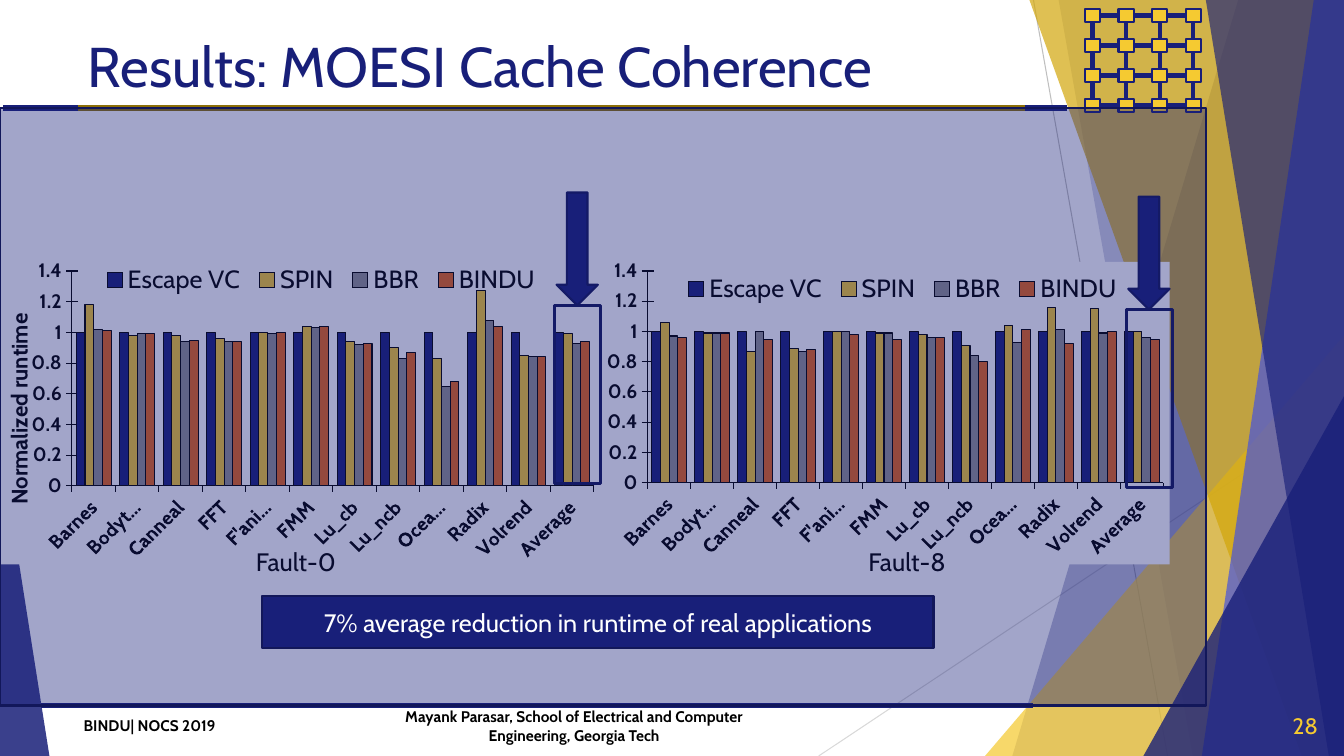
import pptx
import pptx.chart.data
import pptx.dml.color
import pptx.enum.chart
import pptx.enum.shapes
import pptx.enum.text
import pptx.oxml
import pptx.oxml.ns
import pptx.util
from dataclasses import dataclass

W, H = 13.33, 7.5
RULE_Y, FOOT_Y = 1.07, 7.0
SHAPE = pptx.enum.shapes.MSO_SHAPE
ALIGN = pptx.enum.text.PP_ALIGN
MIDDLE = pptx.enum.text.MSO_ANCHOR.MIDDLE
TICK = pptx.enum.chart.XL_TICK_MARK
NS = pptx.oxml.ns.nsdecls("c", "a")


@dataclass(frozen=True)
class Theme:
    font: str = "Cabin"
    navy: str = "181F79"
    edge: str = "12175A"
    gold: str = "F5CA31"
    dark_gold: str = "D2A60A"
    rule_gold: str = "8C6F07"
    blue: str = "4853DB"
    black: str = "000000"
    white: str = "FFFFFF"
    hairlines: tuple = ("BFBFBF", "D9D9D9")
    series: tuple = ("181F79", "F5CA31", "919191", "E76618")
    title: int = 40
    body: int = 18
    axis_title: int = 16
    number: int = 16
    tick: int = 14
    foot: int = 11
    chart: int = 10


T = Theme()
BENCHMARKS = ["Barnes", "Bodytrack", "Canneal", "FFT", "F'animate", "FMM", "Lu_cb",
              "Lu_ncb", "Ocean_cp", "Radix", "Volrend", "Average"]
SCHEMES = ["Escape VC", "SPIN", "BBR", "BINDU"]
FAULT_0 = [[1] * 12,
           [1.18, .98, .98, .96, 1, 1.04, .94, .9, .83, 1.27, .85, .99],
           [1.02, .99, .94, .94, .99, 1.03, .92, .83, .65, 1.08, .84, .93],
           [1.01, .99, .95, .94, 1, 1.04, .93, .87, .68, 1.04, .84, .94]]
FAULT_8 = [[1] * 12,
           [1.06, .99, .87, .89, 1, .99, .98, .91, 1.04, 1.16, 1.15, 1],
           [.97, .99, 1, .87, 1, .99, .96, .84, .93, 1.01, .99, .96],
           [.96, .99, .95, .88, .98, .95, .96, .8, 1.01, .92, 1, .95]]


def rgb(color):
    return pptx.dml.color.RGBColor.from_string(color)


def inches(*values):
    return [pptx.util.Inches(v) for v in values]


def style_font(font, size, color=T.black, bold=False):
    font.name, font.size, font.bold = T.font, pptx.util.Pt(size), bold
    font.color.rgb = rgb(color)


def paint(sp, fill=None, alpha=100, line=None, width=1.5):
    sp.shadow.inherit = False
    if fill:
        sp.fill.solid()
        sp.fill.fore_color.rgb = rgb(fill)
        if alpha < 100:
            clr = sp._element.spPr.find(".//" + pptx.oxml.ns.qn("a:srgbClr"))
            clr.append(pptx.oxml.parse_xml(f'<a:alpha {NS} val="{alpha * 1000}"/>'))
    else:
        sp.fill.background()
    if line:
        sp.line.color.rgb, sp.line.width = rgb(line), pptx.util.Pt(width)
    else:
        sp.line.fill.background()
    return sp


def add_box(s, kind, box, **look):
    return paint(s.shapes.add_shape(kind, *inches(*box)), **look)


def add_line(s, start, end, color, width):
    cx = s.shapes.add_connector(pptx.enum.shapes.MSO_CONNECTOR.STRAIGHT, *inches(*start, *end))
    cx.line.color.rgb, cx.line.width = rgb(color), pptx.util.Pt(width)
    cx._element.spPr.append(pptx.oxml.parse_xml(f"<a:effectLst {NS}/>"))
    return cx


def write(sp, text, size=T.body, color=T.black, bold=False, align=ALIGN.LEFT,
          anchor=MIDDLE, wrap=True):
    tf = sp.text_frame
    tf.word_wrap, tf.vertical_anchor = wrap, anchor
    p = tf.paragraphs[0]
    p.alignment = align
    r = p.add_run()
    r.text = text
    style_font(r.font, size, color, bold)


def add_text(s, box, text, **fmt):
    write(s.shapes.add_textbox(*inches(*box)), text, **fmt)


def backdrop(s):
    """Translucent facets along the slide's right side and the lower left corner."""
    def band(top, bottom, color, alpha):
        fb = s.shapes.build_freeform(*inches(top, 0))
        fb.add_line_segments([inches(*point) for point in [(W, 0), (W, H), (bottom, H)]])
        paint(fb.convert_to_shape(), fill=color, alpha=alpha)

    def corner(x, y, width, apex, color, alpha):
        sp = add_box(s, SHAPE.ISOSCELES_TRIANGLE, (x, y, width, H - y), fill=color, alpha=alpha)
        sp.adjustments[0] = apex

    add_line(s, (10.25, 0), (11.58, H), T.hairlines[0], .75)
    add_line(s, (W, 4.03), (8.12, H), T.hairlines[1], .75)
    band(12.28, 10.04, T.navy, 30)
    band(10.5, 11.83, T.navy, 20)
    corner(9.77, 3.33, 3.56, 1, T.gold, 72)
    band(10.21, 12.91, T.dark_gold, 70)
    band(13.03, 11.92, T.blue, 70)
    band(11.96, 13.18, T.navy, 65)
    corner(11.34, 3.93, 1.99, 1, T.navy, 80)
    corner(0, 4.39, .49, 0, T.navy, 85)


def rules(s):
    add_line(s, (.41, FOOT_Y), (10.25, FOOT_Y), T.navy, 3.5)
    for x1, x2, color in [(.77, 10.17, T.rule_gold), (.03, .77, T.navy), (10.17, 10.58, T.navy)]:
        add_line(s, (x1, RULE_Y), (x2, RULE_Y), color, 4.5)


def mesh(s, box, n=4, node=(.15, .13)):
    """An n by n grid of nodes with links behind them."""
    x, y, w, h = box
    dx, dy = (w - node[0]) / (n - 1), (h - node[1]) / (n - 1)
    back = len(s.shapes._spTree)
    nodes = [[add_box(s, SHAPE.RECTANGLE, (x + c * dx, y + r * dy, *node),
                      fill=T.gold, line=T.navy) for c in range(n)] for r in range(n)]
    links = [(row[0], 3, row[-1], 1) for row in nodes]
    links += [(col[0], 2, col[-1], 0) for col in zip(*nodes)]
    for first, out, last, into in links:
        cx = add_line(s, (x, y), (x + w, y + h), T.navy, 3)
        cx.begin_connect(first, out)
        cx.end_connect(last, into)
        s.shapes._spTree.insert(back, cx._element)


def layout_xml(x, y, w, h, inner=False):
    target = '<c:layoutTarget val="inner"/>' if inner else ""
    modes = '<c:xMode val="edge"/><c:yMode val="edge"/>'
    sizes = "".join(f'<c:{k} val="{v}"/>' for k, v in zip("xywh", (x, y, w, h)))
    return pptx.oxml.parse_xml(
        f"<c:layout {NS}><c:manualLayout>{target}{modes}{sizes}</c:manualLayout></c:layout>")


def runtime_chart(s, box, values, plot_area, legend_area):
    data = pptx.chart.data.CategoryChartData()
    data.categories = BENCHMARKS
    for name, vals in zip(SCHEMES, values):
        data.add_series(name, vals)
    kind = pptx.enum.chart.XL_CHART_TYPE.COLUMN_CLUSTERED
    chart = s.shapes.add_chart(kind, *inches(*box), data).chart
    style_font(chart.font, T.chart)
    chart.has_title = False
    chart._chartSpace.chart.addnext(pptx.oxml.parse_xml(
        f'<c:spPr {NS}><a:solidFill><a:srgbClr val="{T.white}"/></a:solidFill>'
        '<a:ln><a:noFill/></a:ln></c:spPr>'))
    area = chart._chartSpace.chart.plotArea
    for old in area.findall(pptx.oxml.ns.qn("c:layout")):
        area.remove(old)
    area.insert(0, layout_xml(*plot_area, inner=True))

    plot = chart.plots[0]
    plot.gap_width, plot.overlap, plot.vary_by_categories = 100, 0, False
    for series, color in zip(plot.series, T.series):
        series.format.fill.solid()
        series.format.fill.fore_color.rgb = rgb(color)
        series.invert_if_negative = False
    cat, val = chart.category_axis, chart.value_axis
    for axis, mark in [(cat, TICK.OUTSIDE), (val, TICK.CROSS)]:
        axis.major_tick_mark, axis.minor_tick_mark = mark, TICK.NONE
        axis.has_major_gridlines = False
        style_font(axis.tick_labels.font, T.tick, bold=True)
    for part in [cat, val, *plot.series]:
        part.format.line.color.rgb = rgb(T.black)
        part.format.line.width = pptx.util.Pt(.75)
    cat._element.txPr.bodyPr.set("rot", "-2700000")
    val.minimum_scale, val.maximum_scale, val.major_unit = 0, 1.4, .2
    val.tick_labels.number_format = "General"
    val.tick_labels.number_format_is_linked = False
    r = val.axis_title.text_frame.paragraphs[0].add_run()
    r.text = "Normalized runtime"
    style_font(r.font, T.axis_title, bold=True)

    chart.has_legend = True
    legend = chart.legend
    legend.position = pptx.enum.chart.XL_LEGEND_POSITION.TOP
    legend.include_in_layout = False
    style_font(legend.font, T.body)
    legend._element.find(pptx.oxml.ns.qn("c:legendPos")).addnext(layout_xml(*legend_area))


def fault_panel(s, box, label, label_x, values, plot_area, legend_area, mark_x, mark_y):
    """A runtime chart with its caption, and an arrow to the framed average."""
    x, y, w, h = box
    runtime_chart(s, box, values, plot_area, legend_area)
    add_text(s, (x + label_x, y + 2.8, 1.01, .4), label, align=ALIGN.CENTER, wrap=False)
    add_box(s, SHAPE.RECTANGLE, (x + mark_x, y + mark_y, .46, 1.77), line=T.edge, width=2.25)
    add_box(s, SHAPE.DOWN_ARROW, (x + mark_x + .02, y + mark_y - 1.12, .41, 1.12),
            fill=T.navy, line=T.edge)


def footer(s):
    small = dict(size=T.foot, bold=True)
    add_text(s, (3.7, FOOT_Y, 3.99, .4), "Mayank Parasar, School of Electrical and Computer "
             "Engineering, Georgia Tech", align=ALIGN.CENTER, **small)
    add_text(s, (.73, FOOT_Y, 1.62, .4), "BINDU| NOCS 2019", **small)
    add_text(s, (12.42, FOOT_Y, .75, .4), "28", size=T.number, color=T.gold, align=ALIGN.RIGHT)


def takeaway(s):
    add_box(s, SHAPE.RECTANGLE, (0, RULE_Y, 11.96, FOOT_Y - RULE_Y),
            fill=T.navy, alpha=40, line=T.edge)
    sp = add_box(s, SHAPE.RECTANGLE, (2.6, 5.91, 6.66, .52), fill=T.navy, line=T.edge)
    write(sp, "7% average reduction in runtime of real applications",
          color=T.white, align=ALIGN.CENTER)


def results_slide(prs):
    s = prs.slides.add_slide(prs.slide_layouts[5])
    title = s.shapes.title
    title.left, title.top, title.width, title.height = inches(.77, .23, 9.4, .84)
    write(title, "Results: MOESI Cache Coherence", size=T.title, color=T.navy)
    backdrop(s)
    rules(s)
    mesh(s, (10.76, .09, 1.15, 1.02))
    footer(s)
    panel = (5.95, 3.03)
    fault_panel(s, (5.65, 2.57, *panel), "Fault-8", 2.84, FAULT_8,
                (.13, .03, .86, .7), (.18, .04, .75, .1), 5.52, .5)
    fault_panel(s, (0, 2.57, *panel), "Fault-0", 2.43, FAULT_0,
                (.12, .03, .87, .71), (.16, .01, .75, .1), 5.5, .46)
    takeaway(s)


def main():
    prs = pptx.Presentation()
    prs.slide_width, prs.slide_height = inches(W, H)
    results_slide(prs)
    prs.save("out.pptx")


if __name__ == "__main__":
    main()
